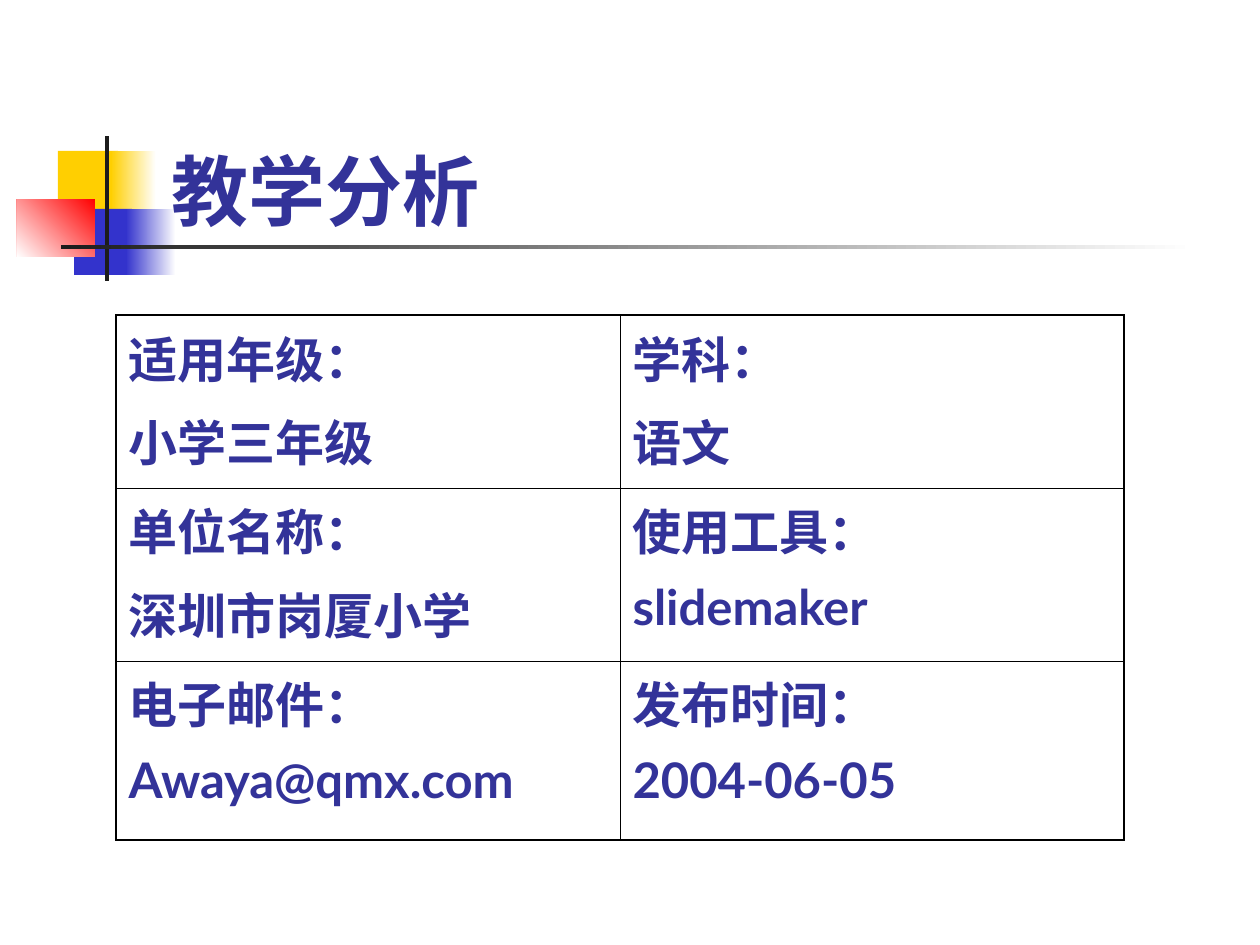
from dataclasses import dataclass

from lxml.etree import SubElement
from pptx import Presentation
from pptx.dml.color import RGBColor
from pptx.enum.shapes import MSO_SHAPE
from pptx.enum.text import MSO_ANCHOR
from pptx.oxml.ns import qn
from pptx.util import Emu, Pt

PX_PER_INCH = 126


@dataclass(frozen=True)
class Theme:
    font: str = "Lato"
    text: str = "333399"
    yellow: str = "FFCF01"
    blue: str = "3333CC"
    red: str = "FF0000"
    dark: str = "1C1C1C"
    white: str = "FFFFFF"
    border: str = "000000"
    title_size: int = 44
    cell_size: int = 28
    cell_gap: int = 7
    outer_line: float = 1.08
    inner_line: float = 0.45


THEME = Theme()

DETAILS = [
    [("适用年级：", "小学三年级"), ("学科：", "语文")],
    [("单位名称：", "深圳市岗厦小学"), ("使用工具：", "slidemaker")],
    [("电子邮件：", "Awaya@qmx.com"), ("发布时间：", "2004-06-05")],
]


def px(length):
    return Emu(round(length * 914400 / PX_PER_INCH))


def style_text(paragraph, size):
    for run in paragraph.runs:
        run.font.name = THEME.font
        run.font.size = Pt(size)
        run.font.bold = True
        run.font.color.rgb = RGBColor.from_string(THEME.text)


def add_block(slide, box, *colors, angle=180):
    """Rectangle with one solid colour, or a gradient between two."""
    block = slide.shapes.add_shape(MSO_SHAPE.RECTANGLE, *map(px, box))
    block.shadow.inherit = False
    block.line.fill.background()
    if len(colors) == 1:
        block.fill.solid()
        block.fill.fore_color.rgb = RGBColor.from_string(colors[0])
        return
    block.fill.gradient()
    block.fill.gradient_angle = angle
    for stop, color in zip(block.fill.gradient_stops, colors):
        stop.color.rgb = RGBColor.from_string(color)


def add_ornament(slide):
    # Coloured squares
    add_block(slide, (58, 151, 60, 66), THEME.yellow)
    add_block(slide, (111, 151, 45, 66), THEME.white, THEME.yellow)
    add_block(slide, (74, 209, 58, 66), THEME.blue)
    add_block(slide, (126, 209, 50, 66), THEME.white, THEME.blue)
    add_block(slide, (17, 199, 78, 58), THEME.red, THEME.white, angle=225)
    # Crossing bars
    add_block(slide, (105, 136, 4, 145), THEME.dark)
    add_block(slide, (61, 245, 1134, 4), THEME.white, THEME.dark)


def add_title(slide, text):
    title = slide.shapes.add_textbox(px(159), px(84), px(1074), px(158))
    frame = title.text_frame
    frame.word_wrap = True
    frame.vertical_anchor = MSO_ANCHOR.BOTTOM
    frame.text = text
    style_text(frame.paragraphs[0], THEME.title_size)


def set_borders(cell, outer_sides):
    properties = cell._tc.get_or_add_tcPr()
    for side in "LRTB":
        width = THEME.outer_line if side in outer_sides else THEME.inner_line
        line = SubElement(properties, qn(f"a:ln{side}"), w=str(int(Pt(width))))
        SubElement(SubElement(line, qn("a:solidFill")), qn("a:srgbClr"), val=THEME.border)


def fill_cell(cell, lines, outer_sides):
    set_borders(cell, outer_sides)
    cell.fill.background()
    cell.text_frame.text = "\n".join(lines)
    for index, paragraph in enumerate(cell.text_frame.paragraphs):
        if index:
            paragraph.space_before = Pt(THEME.cell_gap)
        style_text(paragraph, THEME.cell_size)


def add_details(slide, details):
    row_heights = (173, 173, 179)
    row_count, column_count = len(details), len(details[0])
    table = slide.shapes.add_table(
        row_count, column_count, px(116), px(315), px(1008), px(sum(row_heights))
    ).table
    table.first_row = False
    table.horz_banding = False
    for row, height in zip(table.rows, row_heights):
        row.height = px(height)
    for r, entries in enumerate(details):
        for c, lines in enumerate(entries):
            edges = {"T": r == 0, "B": r == row_count - 1, "L": c == 0, "R": c == column_count - 1}
            fill_cell(table.cell(r, c), lines, [side for side in edges if edges[side]])


def main():
    presentation = Presentation()
    presentation.slide_width = px(1260)
    presentation.slide_height = px(945)
    slide = presentation.slides.add_slide(presentation.slide_layouts[6])
    add_ornament(slide)
    add_title(slide, "教学分析")
    add_details(slide, DETAILS)
    presentation.save("out.pptx")


if __name__ == "__main__":
    main()
